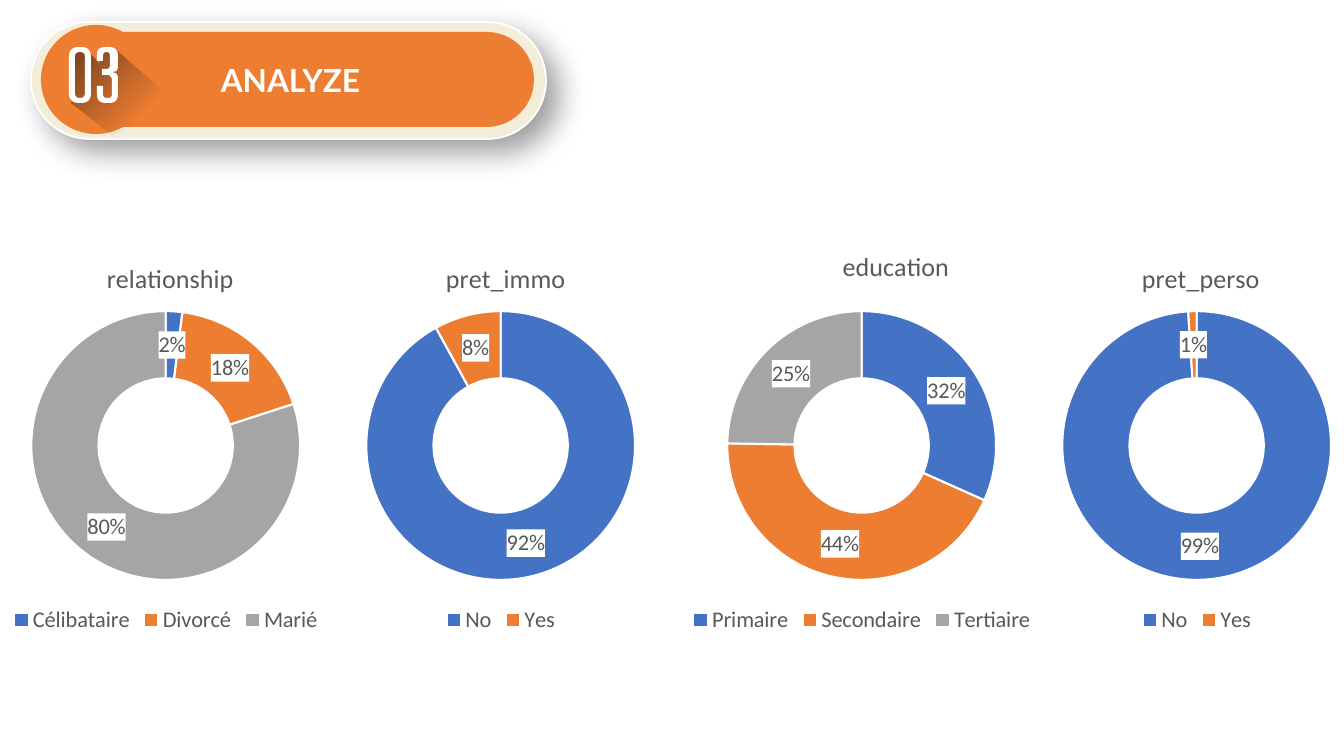
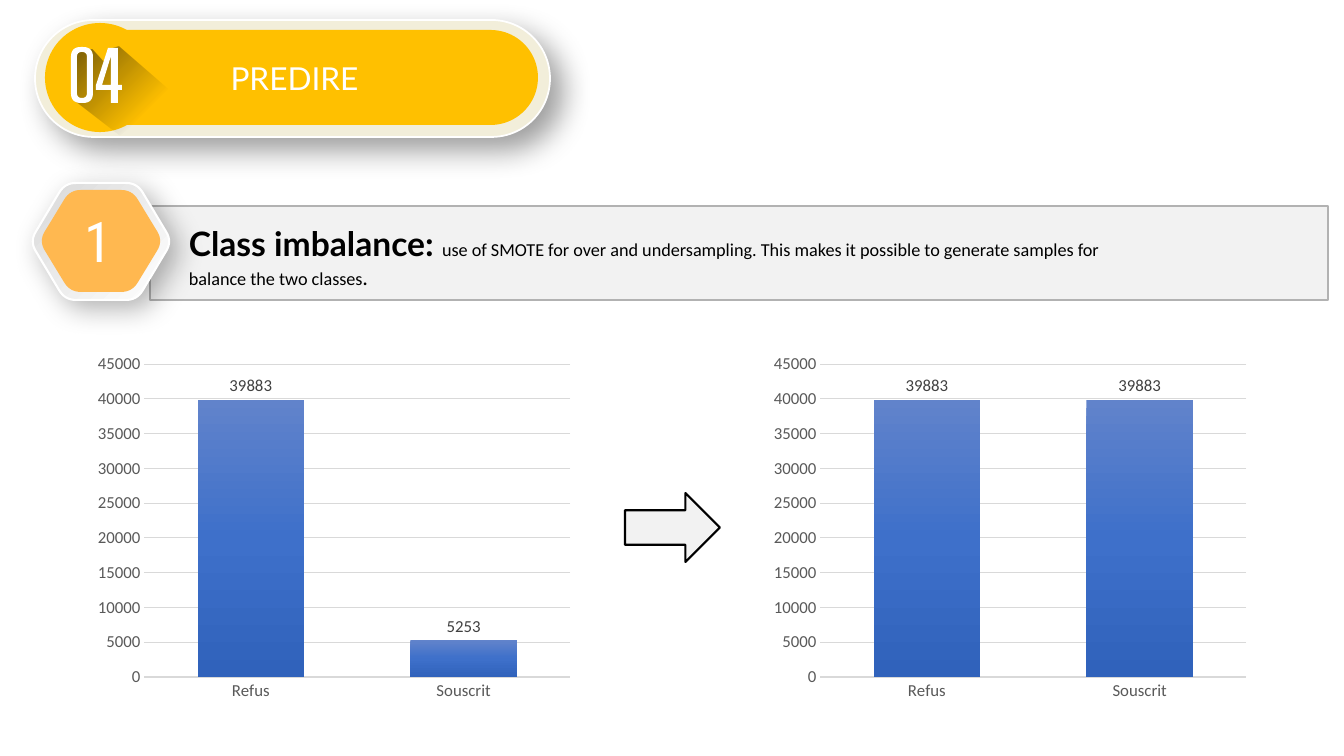
from dataclasses import dataclass

from pptx import Presentation
from pptx.chart.data import CategoryChartData
from pptx.dml.color import RGBColor
from pptx.enum.chart import XL_CHART_TYPE, XL_LABEL_POSITION, XL_LEGEND_POSITION, XL_TICK_MARK
from pptx.enum.shapes import MSO_SHAPE
from pptx.enum.text import MSO_ANCHOR, MSO_AUTO_SIZE, PP_ALIGN
from pptx.oxml import parse_xml
from pptx.oxml.ns import nsdecls, qn
from pptx.util import Pt

DOUGHNUT, COLUMNS = XL_CHART_TYPE.DOUGHNUT, XL_CHART_TYPE.COLUMN_CLUSTERED
OUTSIDE_END = XL_LABEL_POSITION.OUTSIDE_END
LEGEND_BOTTOM = XL_LEGEND_POSITION.BOTTOM
NO_TICK = XL_TICK_MARK.NONE
PILL, OVAL = MSO_SHAPE.ROUNDED_RECTANGLE, MSO_SHAPE.OVAL
RECT, RIGHT_ARROW = MSO_SHAPE.RECTANGLE, MSO_SHAPE.RIGHT_ARROW
MIDDLE, CENTER, NO_FIT = MSO_ANCHOR.MIDDLE, PP_ALIGN.CENTER, MSO_AUTO_SIZE.NONE
EMU_PER_PX = 914400 / 100.8
TITLE_ONLY = 5


@dataclass(frozen=True)
class Theme:
    white: str = "FFFFFF"
    black: str = "000000"
    cream: str = "F2EEDA"
    orange: str = "ED7D31"
    gold: str = "FFC000"
    amber: str = "FFB850"
    panel: str = "F2F2F2"
    panel_edge: str = "B2B2B2"
    grid: str = "D9D9D9"
    muted: str = "595959"
    label: str = "404040"
    slices: tuple = ("4472C4", "ED7D31", "A5A5A5")
    bar_stops: tuple = ((0, "6183CB", 100), (50, "3E70CA", 100), (100, "3062BB", 100))
    cast_stops: tuple = ((0, "0D0D0D", 55), (73, "0D0D0D", 0), (100, "0D0D0D", 0))
    rim_stops: tuple = ((0, "D9D9D9", 100), (100, "FFFFFF", 100))
    heading: str = "Lato"
    body: str = "Calibri"
    numeral: str = "Roboto Condensed"
    title_size: float = 22.6
    chart_title_size: float = 18.6
    doughnut_size: int = 16
    column_size: int = 12
    lead_size: int = 24
    note_size: int = 13
    stop_size: int = 16
    step_size: int = 40


THEME = Theme()
ZERO = [[(0, 0, 10), (22, 0, 10), (22, 56, 10), (0, 56, 10)],
        [(6, 5, 5), (16, 5, 5), (16, 51, 5), (6, 51, 5)]]
THREE = [[(6, 39, 0), (6, 51, 4), (15, 51, 4), (15, 28, 6), (5, 28, 0), (5, 22, 0),
          (13, 22, 4), (13, 5, 4), (6, 5, 4), (6, 14, 0), (0, 14, 0), (0, 0, 9),
          (21, 0, 9), (21, 24, 6), (15, 25, 0), (21, 27, 5), (21, 56, 9),
          (0, 56, 9), (0, 39, 0)]]
FOUR = [[(12, 0, 0), (22, 0, 0), (22, 37, 0), (26, 37, 0), (26, 42, 0), (22, 42, 0),
         (22, 55, 0), (15, 55, 0), (15, 42, 0), (0, 42, 0), (0, 37, 0)],
        [(15, 37, 0), (15, 8, 0), (6, 37, 0)]]
NUMERAL_CAST = [[(85, 115, 0), (41, 81, 0), (41, 31, 0), (58, 30, 0),
                 (69, 42, 0), (74, 30, 0), (84, 27, 0), (137, 73, 0)]]


def px(value):
    return round(value * EMU_PER_PX)


def rgb(color):
    return RGBColor.from_string(color)


def style_font(font, face, size, color, bold=False):
    font.name, font.size, font.bold = face, Pt(size), bold
    font.color.rgb = rgb(color)


def add_run(paragraph, text, *style):
    run = paragraph.add_run()
    run.text = text
    style_font(run.font, *style)


def paint(shape, fill=None, line=None, width=1):
    shape.shadow.inherit = False
    if fill:
        shape.fill.solid()
        shape.fill.fore_color.rgb = rgb(fill)
    if line:
        shape.line.color.rgb = rgb(line)
        shape.line.width = Pt(width)
    else:
        shape.line.fill.background()
    return shape


def paint_gradient(fill, properties, stops, angle):
    fill.gradient()
    marks = "".join(
        f'<a:gs pos="{pos * 1000}"><a:srgbClr val="{color}">'
        f'<a:alpha val="{alpha * 1000}"/></a:srgbClr></a:gs>'
        for pos, color, alpha in stops)
    properties.replace(properties.find(qn("a:gradFill")), parse_xml(
        f'<a:gradFill {nsdecls("a")} rotWithShape="1"><a:gsLst>{marks}</a:gsLst>'
        f'<a:lin ang="{angle * 60000}" scaled="0"/></a:gradFill>'))


def cast_shadow(shape, opacity, blur, distance):
    effects = shape.element.spPr.find(qn("a:effectLst"))
    effects.append(parse_xml(
        f'<a:outerShdw {nsdecls("a")} blurRad="{Pt(blur)}" dist="{Pt(distance)}" '
        f'dir="2700000" algn="tl" rotWithShape="0"><a:srgbClr val="{THEME.black}">'
        f'<a:alpha val="{opacity * 1000}"/></a:srgbClr></a:outerShdw>'))


def add_block(slide, kind, box, fill, line=None, width=1):
    return paint(slide.shapes.add_shape(kind, *map(px, box)), fill, line, width)


def toward(start, end, distance):
    dx, dy = end[0] - start[0], end[1] - start[1]
    share = min(distance / (dx * dx + dy * dy) ** 0.5, 0.5)
    return start[0] + dx * share, start[1] + dy * share


def round_corners(corners):
    points = []
    for i, corner in enumerate(corners):
        if not corner[2]:
            points.append(corner[:2])
            continue
        enter = toward(corner, corners[i - 1], corner[2])
        leave = toward(corner, corners[(i + 1) % len(corners)], corner[2])
        for step in range(9):
            t = step / 8
            points.append(tuple((1 - t) ** 2 * a + 2 * t * (1 - t) * b + t * t * c
                                for a, b, c in zip(enter, corner, leave)))
    return points


def add_outline(slide, left, top, contours):
    builder = None
    for corners in contours:
        points = [(px(left + x), px(top + y)) for x, y in round_corners(corners)]
        if builder is None:
            builder = slide.shapes.build_freeform(*points[0], scale=1.0)
        else:
            builder.move_to(*points[0])
        builder.add_line_segments(points[1:], close=True)
    return builder.convert_to_shape()


def add_banner(slide, left, top, title, bold, color, numeral_at, digits):
    halo = add_block(slide, PILL, (left, top, 515, 117), THEME.cream, THEME.white, 1.25)
    halo.adjustments[0] = 0.5
    cast_shadow(halo, 38, 22, 12)
    band_box = (left + 16, top + 10, 487, 95)
    add_block(slide, PILL, band_box, color).adjustments[0] = 0.5
    heading = slide.shapes.title
    heading.left, heading.top, heading.width, heading.height = map(px, band_box)
    frame = heading.text_frame
    frame.auto_size, frame.vertical_anchor = NO_FIT, MIDDLE
    frame.paragraphs[0].alignment = CENTER
    add_run(frame.paragraphs[0], title, THEME.heading, THEME.title_size, THEME.white, bold)
    slide.shapes.element.append(heading.element)
    add_block(slide, OVAL, (left + 10, top + 3, 110, 109), color)
    numeral_cast = paint(add_outline(slide, left, top, NUMERAL_CAST))
    paint_gradient(numeral_cast.fill, numeral_cast.element.spPr, THEME.cast_stops, 45)
    for dx, dy, digit in digits:
        paint(add_outline(slide, left + numeral_at[0] + dx, top + numeral_at[1] + dy, digit),
              THEME.white)


def set_layout(parent, index, inner=False, **fractions):
    for old in parent.findall(qn("c:layout")):
        parent.remove(old)
    target = '<c:layoutTarget val="inner"/>' if inner else ""
    modes = "".join(f'<c:{axis}Mode val="edge"/>' for axis in "xy")
    sizes = "".join(f'<c:{key} val="{value:.3f}"/>' for key, value in fractions.items())
    parent.insert(index, parse_xml(
        f'<c:layout {nsdecls("c")}><c:manualLayout>{target}{modes}{sizes}'
        f'</c:manualLayout></c:layout>'))


def add_chart(slide, kind, box, categories, values):
    data = CategoryChartData()
    data.categories = categories
    data.add_series("Series 1", values)
    chart = slide.shapes.add_chart(kind, *map(px, box), data).chart
    chart.font.name, chart.font.size = THEME.body, Pt(10)
    return chart


def add_doughnut(slide, box, title, title_at, categories, values):
    left, top, width, height = box
    chart = add_chart(slide, DOUGHNUT, box, categories, values)
    chart.has_title = True
    add_run(chart.chart_title.text_frame.paragraphs[0], title,
            THEME.body, THEME.chart_title_size, THEME.muted)
    set_layout(chart.chart_title.element if hasattr(chart.chart_title, "element")
               else chart.element.find(".//" + qn("c:title")), 1,
               x=(title_at[0] - left) / width, y=(title_at[1] - top) / height)
    ring = 269
    set_layout(chart.element.find(".//" + qn("c:plotArea")), 0, True,
               x=(width - ring) / 2 / width, y=76 / height, w=ring / width, h=ring / height)
    chart.has_legend = True
    chart.legend.position = LEGEND_BOTTOM
    chart.legend.include_in_layout = False
    style_font(chart.legend.font, THEME.body, THEME.doughnut_size, THEME.muted)
    series = chart.plots[0].series[0]
    for i, color in enumerate(THEME.slices[:len(values)]):
        part = series.points[i].format
        part.fill.solid()
        part.fill.fore_color.rgb = rgb(color)
        part.line.color.rgb = rgb(THEME.white)
        part.line.width = Pt(1.5)
    labels = series.data_labels
    labels.show_value, labels.show_percentage = False, True
    labels.number_format, labels.number_format_is_linked = "0%", False
    style_font(labels.font, THEME.body, THEME.doughnut_size, THEME.muted)
    series.data_labels.font.fill.solid()
    series.data_labels.font.color.rgb = rgb(THEME.muted)
    label_props = chart.element.find(".//" + qn("c:ser")).find(qn("c:dLbls"))
    label_props.find(qn("c:txPr")).addprevious(parse_xml(
        f'<c:spPr {nsdecls("c", "a")}><a:solidFill><a:srgbClr val="{THEME.white}"/>'
        f'</a:solidFill></c:spPr>'))


def add_columns(slide, box, values):
    chart = add_chart(slide, COLUMNS, box, ("Refus", "Souscrit"), values)
    chart.has_title = chart.has_legend = False
    for axis in (chart.category_axis, chart.value_axis):
        axis.major_tick_mark = axis.minor_tick_mark = NO_TICK
        style_font(axis.tick_labels.font, THEME.body, THEME.column_size, THEME.muted)
    chart.category_axis.format.line.color.rgb = rgb(THEME.grid)
    chart.category_axis.format.line.width = Pt(1)
    scale = chart.value_axis
    scale.minimum_scale, scale.maximum_scale, scale.major_unit = 0, 45000, 5000
    scale.format.line.fill.background()
    scale.major_gridlines.format.line.color.rgb = rgb(THEME.grid)
    scale.major_gridlines.format.line.width = Pt(0.75)
    plot = chart.plots[0]
    plot.gap_width, plot.overlap, plot.vary_by_categories = 100, -24, False
    bars = plot.series[0]
    fill = bars.format.fill
    fill.solid()
    paint_gradient(fill, chart.element.find(".//" + qn("c:ser")).find(qn("c:spPr")),
                   THEME.bar_stops, 90)
    labels = bars.data_labels
    labels.show_value, labels.position = True, OUTSIDE_END
    style_font(labels.font, THEME.body, THEME.column_size, THEME.label)


def add_hexagon(slide, left, top, width, height):
    inset = width // 4
    corners = [(0, height / 2), (inset, 0), (width - inset, 0),
               (width, height / 2), (width - inset, height), (inset, height)]
    return add_outline(slide, left, top, [[(x, y, 11) for x, y in corners]])


def add_step(slide, left, top, number, lead, notes):
    add_block(slide, RECT, (left + 120, top + 23, 1178, 94), THEME.panel, THEME.panel_edge, 2)
    rim = paint(add_hexagon(slide, left, top, 142, 117), line=THEME.white, width=1.5)
    paint_gradient(rim.fill, rim.element.spPr, THEME.rim_stops, 45)
    cast_shadow(rim, 30, 20, 8)
    paint(add_hexagon(slide, left + 9, top + 7, 124, 102), THEME.amber)
    message = slide.shapes.add_textbox(*map(px, (left + 149, top + 35, 1165, 78))).text_frame
    message.word_wrap = False
    first, second = message.paragraphs[0], message.add_paragraph()
    add_run(first, lead, THEME.heading, THEME.lead_size, THEME.black, True)
    for paragraph, note in zip((first, second), notes):
        add_run(paragraph, note, THEME.body, THEME.note_size, THEME.black)
    add_run(second, ".", THEME.body, THEME.stop_size, THEME.black)
    badge = slide.shapes.add_textbox(*map(px, (left + 15, top + 19, 106, 78))).text_frame
    badge.word_wrap = True
    badge.paragraphs[0].alignment = CENTER
    add_run(badge.paragraphs[0], number, THEME.numeral, THEME.step_size, THEME.white)


def build_analyze(slide):
    add_banner(slide, 31, 22, "ANALYZE", True, THEME.orange, (38, 25),
               ((0, 0, ZERO), (28, 0, THREE)))
    answers = ("No", "Yes")
    for left, title, title_at, categories, values in (
            (-127, "relationship", (102, 256), ("Célibataire", "Divorcé", "Marié"), (2, 18, 80)),
            (569, "education", (838, 243), ("Primaire", "Secondaire", "Tertiaire"), (32, 44, 25)),
            (208, "pret_immo", (441, 256), answers, (92, 8)),
            (904, "pret_perso", (1137, 256), answers, (99, 1))):
        add_doughnut(slide, (left, 235, 586, 403), title, title_at, categories, values)


def build_predict(slide):
    add_banner(slide, 35, 20, "PREDIRE", False, THEME.gold, (36, 27),
               ((0, 0, ZERO), (25, 1, FOUR)))
    add_step(slide, 30, 183, "1", "Class imbalance: ", (
        "use of SMOTE for over and undersampling. This makes it possible to generate samples for",
        "balance the two classes"))
    for left, values in ((88, (39883, 5253)), (764, (39883, 39883))):
        add_columns(slide, (left, 347, 492, 361), values)
    add_block(slide, RIGHT_ARROW, (625, 493, 95, 69), THEME.panel, THEME.black, 1.5)


def main():
    deck = Presentation()
    deck.slide_width, deck.slide_height = px(1344), px(756)
    for build in (build_analyze, build_predict):
        build(deck.slides.add_slide(deck.slide_layouts[TITLE_ONLY]))
    deck.save("out.pptx")


if __name__ == "__main__":
    main()
